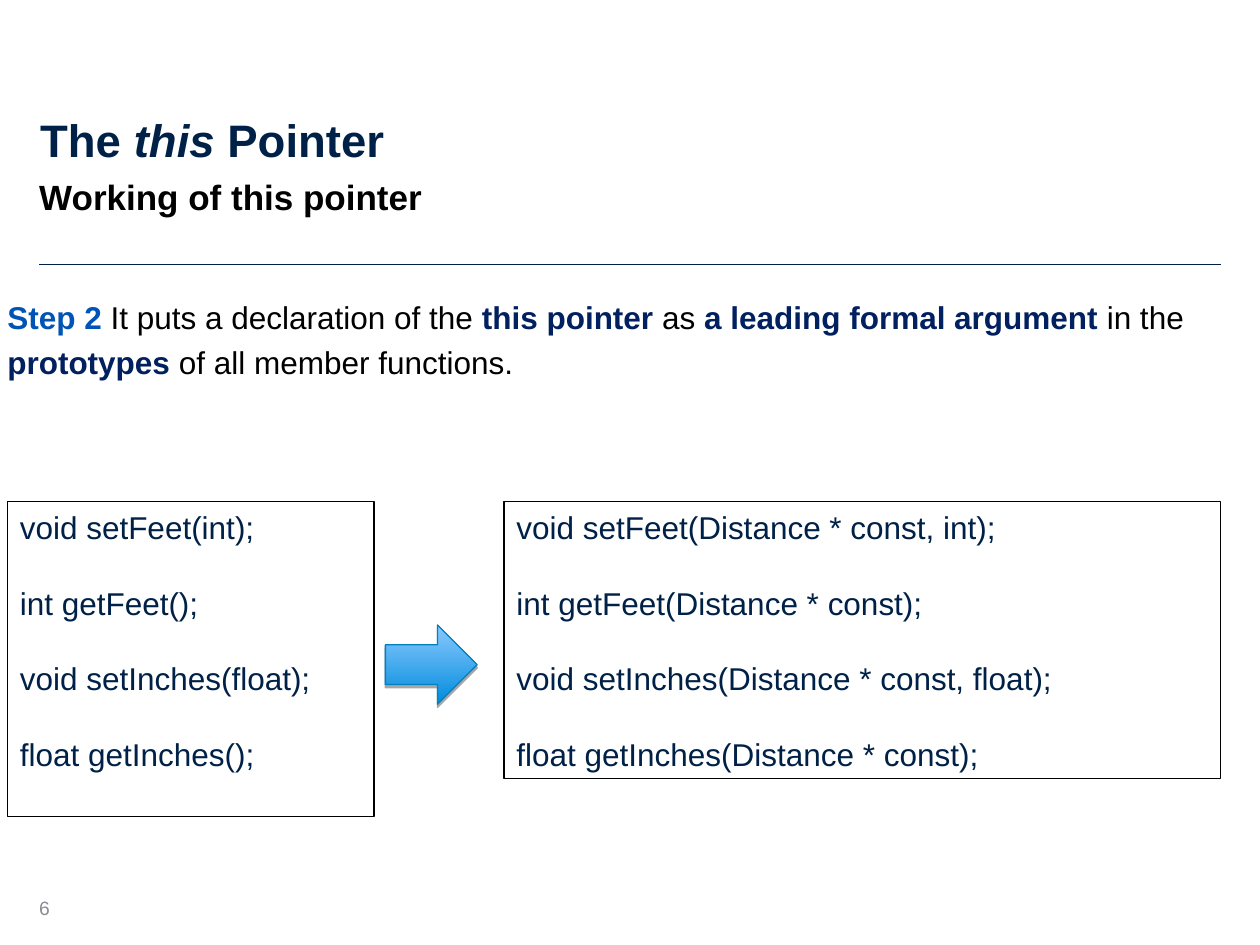
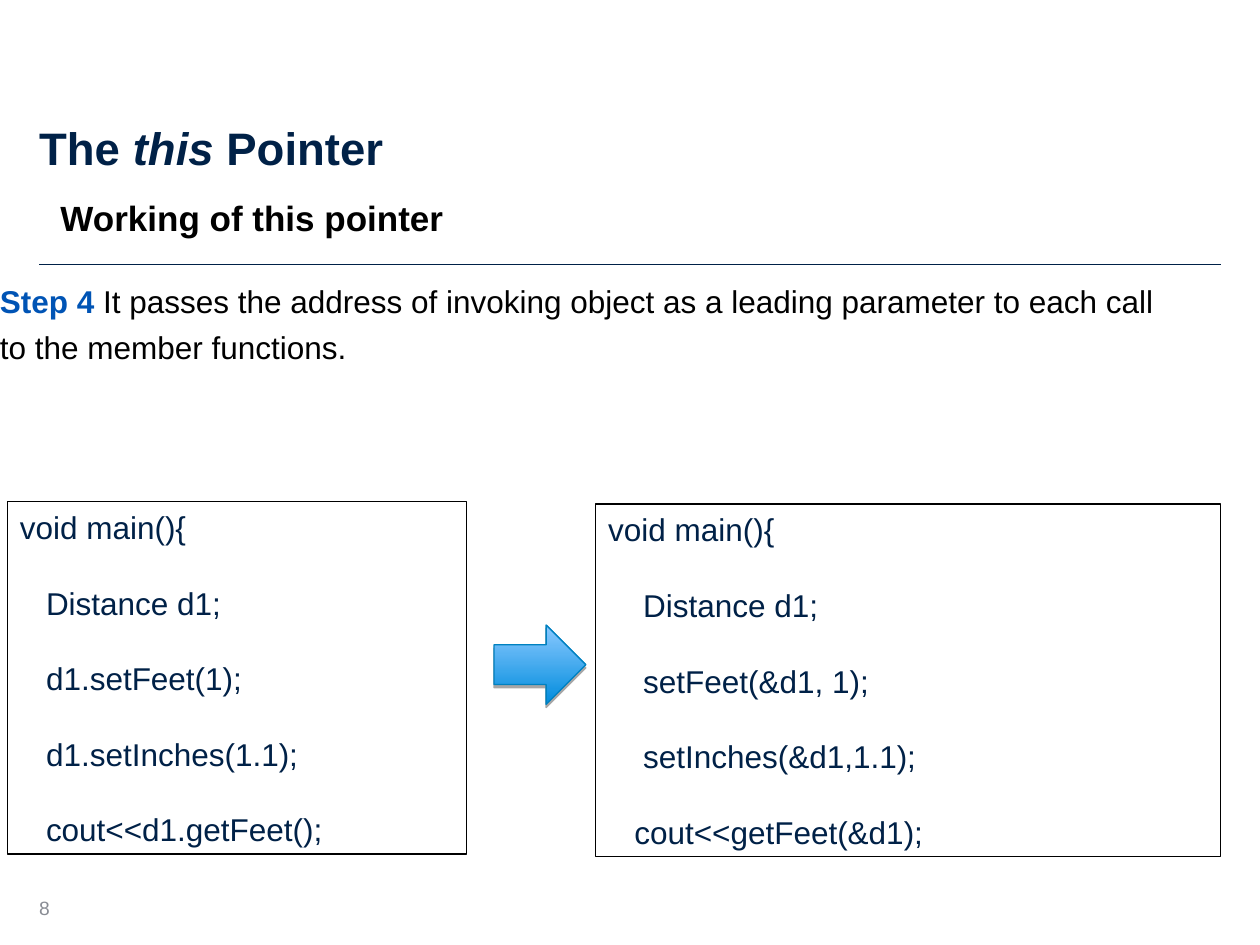
from lxml.etree import SubElement
from pptx import Presentation
from pptx.dml.color import RGBColor
from pptx.enum.shapes import MSO_CONNECTOR, MSO_SHAPE
from pptx.enum.text import MSO_ANCHOR, PP_ALIGN
from pptx.oxml.ns import qn
from pptx.util import Cm, Pt

NAVY, BLACK, GREY, BLUE, DEEP = "002147", "000000", "898C94", "0054B5", "002060"
LEFT, RIGHT = 0.79, 24.61
INSET = Cm(0.13)

# Character formats
HEAD = {"size": Pt(26), "bold": True, "color": NAVY}
SUB = {"size": Pt(20), "bold": True, "color": BLACK}
BODY = {"size": Pt(18), "bold": False, "color": BLACK}
CODE = {"size": Pt(18), "bold": False, "color": NAVY}
FOOT = {"size": Pt(11), "bold": False, "color": GREY}
STEP = {"bold": True, "color": BLUE}
KEY = {"bold": True, "color": DEEP}

# Frame formats
FLAT = {"margin_left": 0, "margin_right": 0, "margin_top": 0, "margin_bottom": 0}
TEXT = FLAT | {"margin_top": INSET}
LOW = TEXT | {"vertical_anchor": MSO_ANCHOR.BOTTOM}
MID = TEXT | {"vertical_anchor": MSO_ANCHOR.MIDDLE}
PANEL = {"margin_left": Cm(0.25), "margin_right": Cm(0.25), "margin_top": INSET,
         "margin_bottom": INSET, "vertical_anchor": MSO_ANCHOR.TOP}


def hue(code):
    """Turn a hex string into a colour."""
    return RGBColor.from_string(code)


def write(shape, lines, base, frame, gap=0):
    """Fill a shape with lines, each a list of (text, changes to base)."""
    body = shape.text_frame
    body.word_wrap = True
    for name, value in frame.items():
        setattr(body, name, value)
    for i, line in enumerate(lines):
        para = body.add_paragraph() if i else body.paragraphs[0]
        para.alignment = PP_ALIGN.LEFT
        para.line_spacing = Pt(base["size"].pt * 1.2)
        if i and gap:
            para.space_before = Pt(gap)
        for words, change in line:
            run = para.add_run()
            run.text = words
            run.font.name = "Arial"
            for name, value in (base | change).items():
                if name == "color":
                    run.font.color.rgb = hue(value)
                else:
                    setattr(run.font, name, value)


TITLE = [[("The ", {}), ("this", {"italic": True}), (" Pointer", {})]]

PAGES = [
    {
        "page": "6",
        "title": (0.81, 0.86, 19.28, 3.53),
        "lift": 1.1,
        "sub": (0.79, 3.53, 19.28, 1.35),
        "body": (0.15, 5.87, 24.46, 2.44),
        "text": [
            [("Step 2 ", STEP), ("It puts a declaration of the ", {}),
             ("this pointer ", KEY), ("as ", {}),
             ("a leading formal argument ", KEY), ("in the", {})],
            [("prototypes", KEY), (" of all member functions.", {})],
        ],
        "arrow": 7.77,
        "code": [
            ((0.15, 10.11, 7.39, 6.35),
             ["void setFeet(int);", "int getFeet();",
              "void setInches(float);", "float getInches();"]),
            ((10.16, 10.11, 14.45, 5.59),
             ["void setFeet(Distance * const, int);",
              "int getFeet(Distance * const);",
              "void setInches(Distance * const, float);",
              "float getInches(Distance * const);"]),
        ],
    },
    {
        "page": "8",
        "title": (0.79, 0, 19.28, 3.53),
        "lift": 0,
        "sub": (1.22, 3.96, 19.28, 1.35),
        "body": (0, 5.56, 24.61, 2.69),
        "text": [
            [("Step 4 ", STEP),
             ("It passes the address of invoking object as a leading "
              "parameter to each call", {})],
            [("to the member functions.", {})],
        ],
        "arrow": 9.96,
        "code": [
            ((0.15, 10.11, 9.25, 7.11),
             ["void main(){", "   Distance d1;", "   d1.setFeet(1);",
              "   d1.setInches(1.1);", "   cout<<d1.getFeet();"]),
            ((12.01, 10.16, 12.6, 7.11),
             ["void main(){", "    Distance d1;", "    setFeet(&d1, 1);",
              "    setInches(&d1,1.1);", "   cout<<getFeet(&d1);"]),
        ],
    },
]

deck = Presentation()
deck.slide_width, deck.slide_height = Cm(25.4), Cm(19.05)

for page in PAGES:
    slide = deck.slides.add_slide(deck.slide_layouts[6])
    shapes = slide.shapes

    rule = shapes.add_connector(MSO_CONNECTOR.STRAIGHT,
                                Cm(LEFT), Cm(5.33), Cm(RIGHT), Cm(5.33))
    rule.line.color.rgb = hue(NAVY)
    rule.line.width = Pt(0.6)
    SubElement(rule._element.spPr, qn("a:effectLst"))

    raised = LOW | {"margin_bottom": Cm(page["lift"])}
    for at, lines, base, frame, gap in [
        (page["title"], TITLE, HEAD, raised, 0),
        ((LEFT, 17.75, 0.97, 0.99), [[(page["page"], {})]], FOOT, MID, 0),
        (page["sub"], [[("Working of this pointer", {})]], SUB, FLAT, 0),
        (page["body"], page["text"], BODY, TEXT, 4.5),
    ]:
        box = shapes.add_textbox(*map(Cm, at))
        write(box, lines, base, frame, gap)

    for at, code in page["code"]:
        panel = shapes.add_shape(MSO_SHAPE.RECTANGLE, *map(Cm, at))
        panel.shadow.inherit = False
        panel.fill.background()
        panel.line.color.rgb = hue(BLACK)
        panel.line.width = Pt(0.75)
        write(panel, [[(line, {})] for line in code], CODE, PANEL, 21.6)

    arrow = shapes.add_shape(MSO_SHAPE.RIGHT_ARROW, Cm(page["arrow"]),
                             Cm(12.6), Cm(1.85), Cm(1.6))
    arrow.fill.gradient()
    arrow.fill.gradient_angle = 90
    for stop, code in zip(arrow.fill.gradient_stops, ("008CDD", "8BC9FF")):
        stop.color.rgb = hue(code)
    arrow.line.color.rgb = hue("0081C0")
    arrow.line.width = Pt(0.75)
    arrow.shadow.inherit = False
    effects = arrow._element.spPr.find(qn("a:effectLst"))
    shade = SubElement(effects, qn("a:outerShdw"), blurRad="0",
                       dist=str(Pt(1.8)), dir="5400000", rotWithShape="0")
    tint = SubElement(shade, qn("a:srgbClr"), val=BLACK)
    SubElement(tint, qn("a:alpha"), val="35000")

deck.save("out.pptx")
